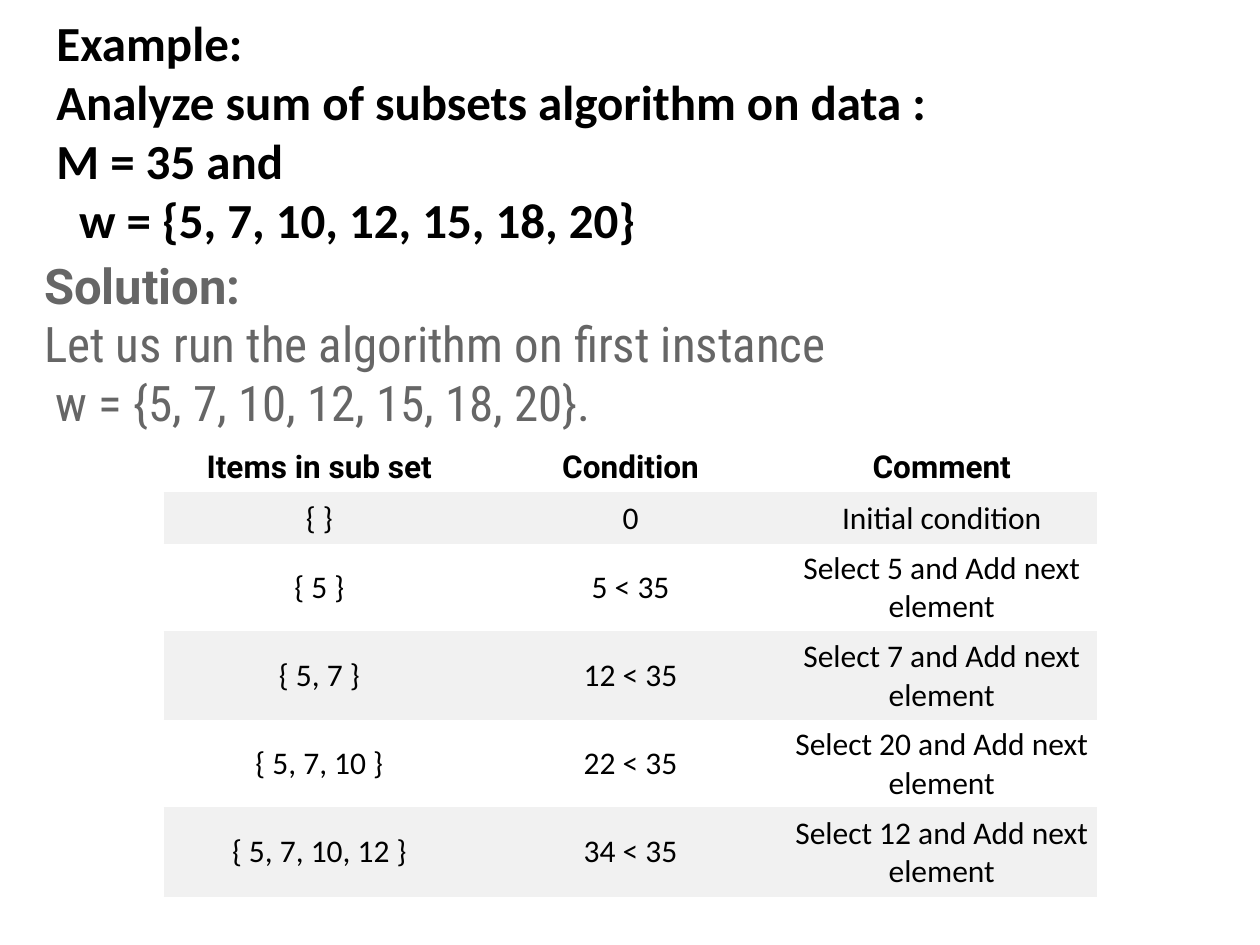
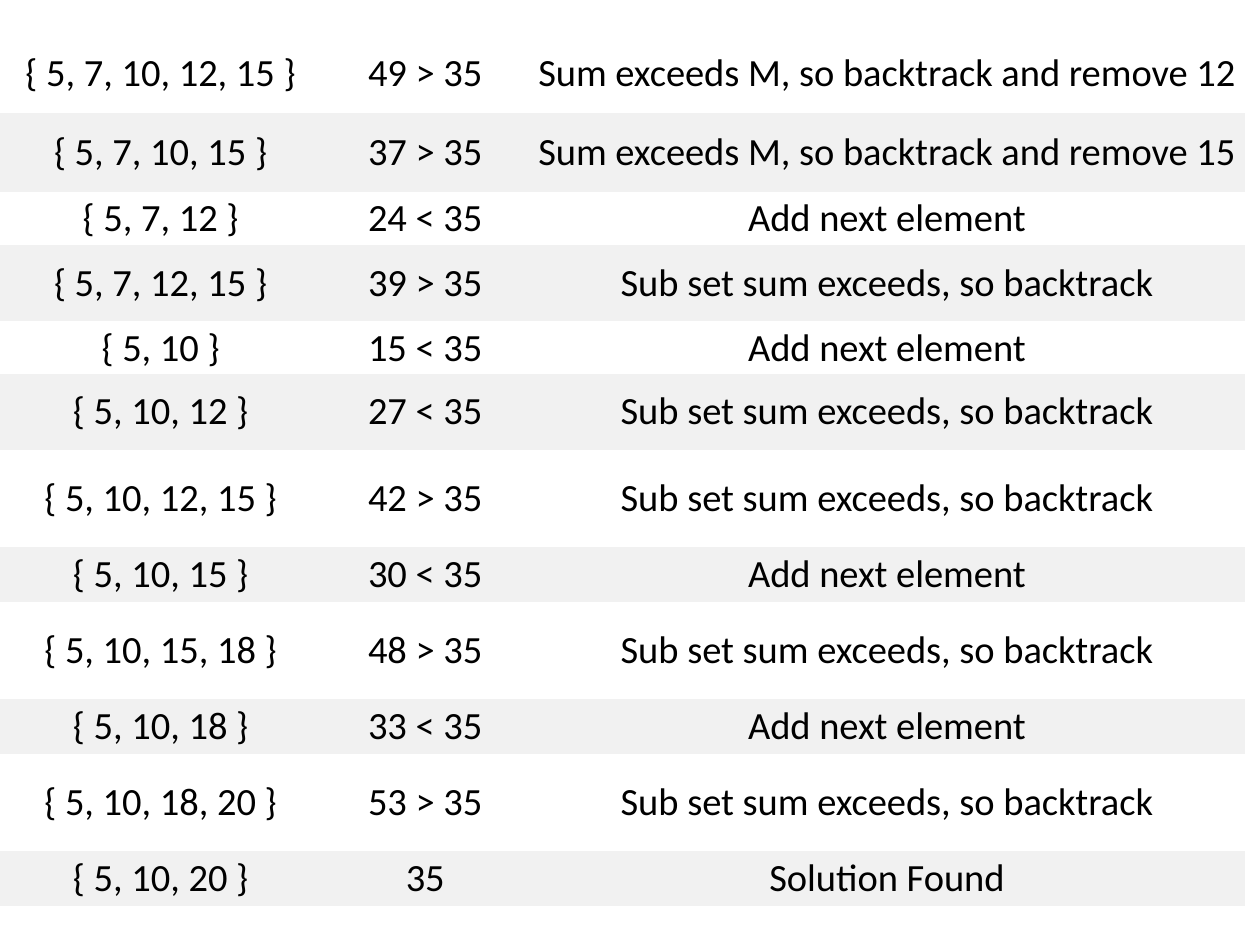
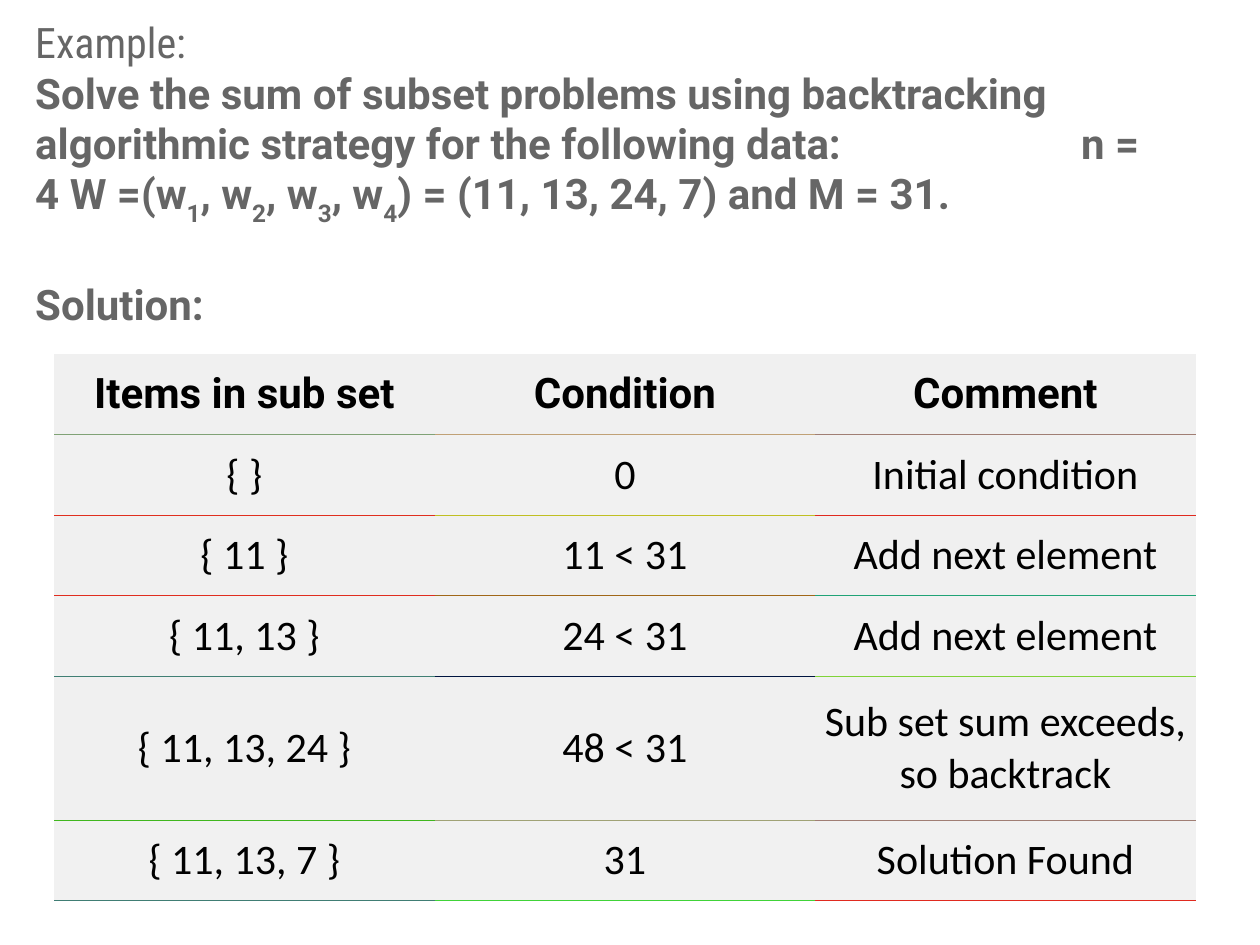
import pptx
import pptx.dml.color
import pptx.enum.shapes
import pptx.enum.text
import pptx.oxml
import pptx.oxml.ns
import pptx.util

PX = 9144  # 100 px to the inch
COLORS = {"ink": "000000", "muted": "666666", "paper": "FFFFFF",
          "band": "F1F1F1", "soft": "F0F0F0"}
BODY, HEAD, NARROW = "Calibri", "Roboto", "Roboto Condensed"
NO_STYLE = "{2D5ABB26-0587-4C30-8999-92F81FD0307C}"
MIDDLE = pptx.enum.text.MSO_ANCHOR.MIDDLE
CENTER = pptx.enum.text.PP_ALIGN.CENTER

HEADER = ("Items in sub set", "Condition", "Comment")
NEXT = "Add next element"
BACKTRACK = "Sub set sum exceeds, so backtrack"
START = ("{ }", "0", "Initial condition")

FIRST_STEPS = [
    HEADER,
    START,
    ("{ 5 }", "5 < 35", "Select 5 and Add next element"),
    ("{ 5, 7 }", "12 < 35", "Select 7 and Add next element"),
    ("{ 5, 7, 10 }", "22 < 35", "Select 20 and Add next element"),
    ("{ 5, 7, 10, 12 }", "34 < 35", "Select 12 and Add next element"),
]
LATER_STEPS = [
    ("{ 5, 7, 10, 12, 15 }", "49 > 35", "Sum exceeds M, so backtrack and remove 12"),
    ("{ 5, 7, 10, 15 }", "37 > 35", "Sum exceeds M, so backtrack and remove 15"),
    ("{ 5, 7, 12 }", "24 < 35", NEXT),
    ("{ 5, 7, 12, 15 }", "39 > 35", BACKTRACK),
    ("{ 5, 10 }", "15 < 35", NEXT),
    ("{ 5, 10, 12 }", "27 < 35", BACKTRACK),
    ("{ 5, 10, 12, 15 }", "42 > 35", BACKTRACK),
    ("{ 5, 10, 15 }", "30 < 35", NEXT),
    ("{ 5, 10, 15, 18 }", "48 > 35", BACKTRACK),
    ("{ 5, 10, 18 }", "33 < 35", NEXT),
    ("{ 5, 10, 18, 20 }", "53 > 35", BACKTRACK),
    ("{ 5, 10, 20 }", "35", "Solution Found"),
]
SECOND_STEPS = [
    HEADER,
    START,
    ("{ 11 }", "11 < 31", NEXT),
    ("{ 11, 13 }", "24 < 31", NEXT),
    ("{ 11, 13, 24 }", "48 < 31", BACKTRACK),
    ("{ 11, 13, 7 }", "31", "Solution Found"),
]
SECOND_RULES = [
    ("80A276", "C0A176", "A07E74"),
    ("E02F1F", "C0BF22", "E02A1F"),
    ("E02D1F", "A06718", "20A376"),
    ("407F74", "001540", "80D338"),
    ("40B71E", "A0A276", "A07E74"),
    ("407D74", "40D338", "E02A1F"),
]


def rgb(value):
    return pptx.dml.color.RGBColor.from_string(value)


class Deck:
    def __init__(self):
        self.prs = pptx.Presentation()
        self.prs.slide_width, self.prs.slide_height = 1000 * PX, 750 * PX
        self.slide = None

    def new_slide(self):
        self.slide = self.prs.slides.add_slide(self.prs.slide_layouts[6])

    def format(self, r, size, font, color, bold=False):
        r.font.size = pptx.util.Pt(size)
        r.font.name = font
        r.font.bold = bold
        r.font.color.rgb = rgb(COLORS[color])

    def paragraphs(self, tf, lines, size, color):
        """Write lines of (text, font, bold, options); options: indent, tab, before.

        A text may be a list of pieces, in which every second one is a subscript.
        """
        tf.word_wrap = True
        for i, (text, font, bold, options) in enumerate(lines):
            p = tf.add_paragraph() if i else tf.paragraphs[0]
            p.alignment = pptx.enum.text.PP_ALIGN.LEFT
            pPr = p._p.get_or_add_pPr()
            if "indent" in options:
                pPr.set("marL", str(options["indent"] * PX))
                pPr.set("indent", "0")
            if "tab" in options:
                pPr.append(pptx.oxml.parse_xml(
                    f'<a:tabLst {pptx.oxml.ns.nsdecls("a")}>'
                    f'<a:tab pos="{options["tab"] * PX}" algn="l"/></a:tabLst>'))
            if "before" in options:
                p.space_before = pptx.util.Pt(options["before"])
            for n, piece in enumerate([text] if isinstance(text, str) else text):
                r = p.add_run()
                r.text = piece
                self.format(r, size, font, color, bold)
                if n % 2:
                    r._r.get_or_add_rPr().set("baseline", "-30000")

    def text(self, x, y, w, h, lines, size):
        sp = self.slide.shapes.add_textbox(x * PX, y * PX, w * PX, h * PX)
        self.paragraphs(sp.text_frame, lines, size, "ink")

    def panel(self, x, y, w, h, lines, size):
        sp = self.slide.shapes.add_shape(
            pptx.enum.shapes.MSO_SHAPE.RECTANGLE, x * PX, y * PX, w * PX, h * PX)
        sp.shadow.inherit = False
        sp.fill.solid()
        sp.fill.fore_color.rgb = rgb(COLORS["paper"])
        sp.line.fill.background()
        tf = sp.text_frame
        tf.margin_left = tf.margin_right = tf.margin_top = tf.margin_bottom = 0
        tf.vertical_anchor = MIDDLE
        self.paragraphs(tf, lines, size, "muted")

    def border(self, cell, side, color):
        cell._tc.get_or_add_tcPr().append(pptx.oxml.parse_xml(
            f'<a:{side} {pptx.oxml.ns.nsdecls("a")} w="9525"><a:solidFill>'
            f'<a:srgbClr val="{color}"/></a:solidFill></a:{side}>'))

    def table(self, x, y, widths, heights, rows, size, margin, fills, rules=None):
        """Draw rows with alternating fills; rules gives each cell's lower border."""
        frame = self.slide.shapes.add_table(
            len(rows), len(widths), x * PX, y * PX, sum(widths) * PX, sum(heights) * PX)
        table = frame.table
        table.first_row = table.horz_banding = False
        table._tbl.tblPr.find(pptx.oxml.ns.qn("a:tableStyleId")).text = NO_STYLE
        for column, width in zip(table.columns, widths):
            column.width = width * PX
        rules = rules or [[COLORS["band"]] * len(widths)] * len(rows)
        for i, values in enumerate(rows):
            table.rows[i].height = heights[i] * PX
            is_header = values is HEADER
            for j, value in enumerate(values):
                cell = table.cell(i, j)
                if i:
                    self.border(cell, "lnT", rules[i - 1][j])
                self.border(cell, "lnB", rules[i][j])
                cell.fill.solid()
                cell.fill.fore_color.rgb = rgb(COLORS[fills[i % 2]])
                cell.margin_left = cell.margin_right = margin * PX
                cell.margin_top = cell.margin_bottom = margin * PX
                cell.vertical_anchor = MIDDLE
                p = cell.text_frame.paragraphs[0]
                p.text = value
                p.alignment = CENTER
                self.format(p.runs[0], size, HEAD if is_header else BODY, "ink", is_header)


def first_example(deck):
    deck.new_slide()
    deck.text(35, 5, 937, 199, [
        ("Example:", BODY, True, {}),
        ("Analyze sum of subsets algorithm on data :", BODY, True, {}),
        ("M = 35 and", BODY, True, {}),
        ("w = {5, 7, 10, 12, 15, 18, 20}", BODY, True, {"indent": 18}),
    ], 28)
    deck.table(130, 351, [247] * 3, [40] * 2 + [69] * 4 + [], FIRST_STEPS,
               18, 5, ("paper", "band"))
    deck.panel(35, 202, 700, 141, [
        ("Solution:", HEAD, True, {}),
        ("Let us run the algorithm on first instance", NARROW, False, {}),
        ("w = {5, 7, 10, 12, 15, 18, 20}.", NARROW, False, {"indent": 9}),
    ], 28)


def first_example_continued(deck):
    deck.new_slide()
    heights = [63, 62, 31, 60, 31, 59] + [78, 31] * 3
    deck.table(0, 27, [255, 165, 568], heights, LATER_STEPS, 22, 3, ("paper", "band"))


def second_example(deck):
    deck.new_slide()
    deck.table(43, 281, [302] * 3, [64] * 4 + [114, 64], SECOND_STEPS,
               24, 5, ("soft", "band"), SECOND_RULES)
    problem = ["Solve the sum of subset problems using backtracking algorithmic strategy "
               "for the following data:\tn = 4 W =(w",
               "1", ", w", "2", ", w", "3", ", w", "4",
               ") = (11, 13, 24, 7) and M = 31."]
    deck.panel(28, 16, 893, 242, [
        ("Example:", NARROW, False, {}),
        (problem, HEAD, True, {"tab": 830}),
        ("Solution:", HEAD, True, {"before": 29}),
    ], 24)


def main():
    deck = Deck()
    first_example(deck)
    first_example_continued(deck)
    second_example(deck)
    deck.prs.save("out.pptx")


if __name__ == "__main__":
    main()
